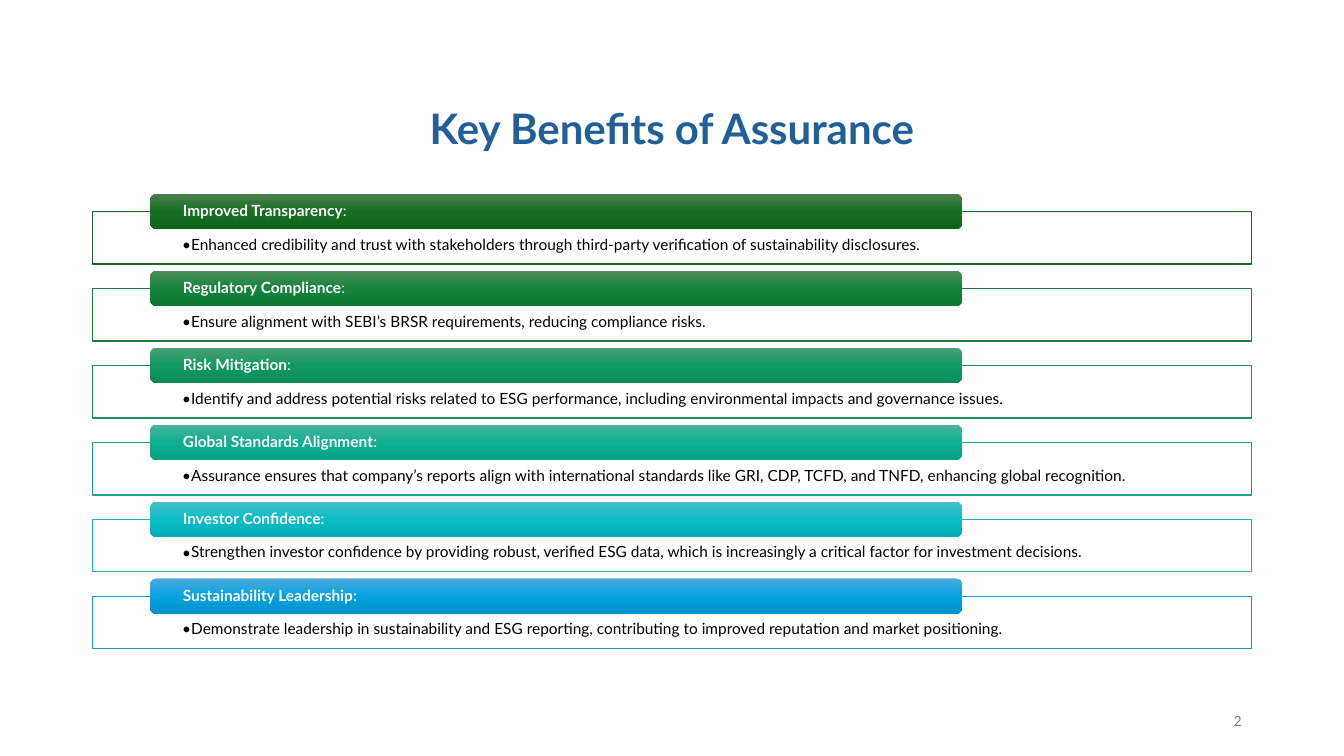
from dataclasses import dataclass

import lxml.etree
import pptx
import pptx.dml.color
import pptx.enum.shapes
import pptx.enum.text
import pptx.oxml.ns
import pptx.util

Pt = pptx.util.Pt
Shapes = pptx.enum.shapes.MSO_SHAPE
Align = pptx.enum.text.PP_ALIGN
Anchor = pptx.enum.text.MSO_ANCHOR
qn = pptx.oxml.ns.qn

FONT = "Lato"
COLORS = {"title": "215F9A", "text": "000000", "white": "FFFFFF", "number": "797979"}
FIRST_PANEL_TOP, PITCH = 151.2, 54.96
PANEL_LEFT, PANEL_WIDTH, PANEL_HEIGHT = 66, 828, 37.4
BAR_LEFT, BAR_WIDTH, BAR_HEIGHT, BAR_RISE = 107.4, 579.6, 25.2, 12.8


@dataclass
class Benefit:
    heading: str
    detail: str
    line: str
    gradient: tuple[str, str, str]


BENEFITS = [
    Benefit("Improved Transparency",
            "Enhanced credibility and trust with stakeholders through third-party "
            "verification of sustainability disclosures.",
            "196B24", ("4D7E50", "156F21", "0F661B")),
    Benefit("Regulatory Compliance",
            "Ensure alignment with SEBI’s BRSR requirements, reducing compliance risks.",
            "197E3E", ("4D8E5C", "14833C", "0D7934")),
    Benefit("Risk Mitigation",
            "Identify and address potential risks related to ESG performance, including "
            "environmental impacts and governance issues.",
            "189360", ("4DA075", "129962", "0A8D58")),
    Benefit("Global Standards Alignment",
            "Assurance ensures that company’s reports align with international standards "
            "like GRI, CDP, TCFD, and TNFD, enhancing global recognition.",
            "16A88E", ("4CB49B", "0FAF92", "06A286")),
    Benefit("Investor Confidence",
            "Strengthen investor confidence by providing robust, verified ESG data, which "
            "is increasingly a critical factor for investment decisions.",
            "13B6BE", ("4CC0C8", "0ABDC6", "02AFB8")),
    Benefit("Sustainability Leadership",
            "Demonstrate leadership in sustainability and ESG reporting, contributing to "
            "improved reputation and market positioning.",
            "0F9ED5", ("4CAADF", "05A2DF", "0092CB")),
]


def rgb(value: str) -> pptx.dml.color.RGBColor:
    return pptx.dml.color.RGBColor.from_string(value)


def write_text(box, text: str, *, size: float, color: str, bold: bool = False,
               plain_tail: str = "", align=Align.LEFT, anchor=Anchor.MIDDLE,
               insets=(7.2, 3.6, 7.2, 3.6), spacing: float = 0.9,
               bullet: bool = False) -> None:
    """Write one formatted paragraph; insets run left, top, right, bottom."""
    frame = box.text_frame
    frame.word_wrap = True
    frame.auto_size = pptx.enum.text.MSO_AUTO_SIZE.NONE
    frame.vertical_anchor = anchor
    (frame.margin_left, frame.margin_top,
     frame.margin_right, frame.margin_bottom) = map(Pt, insets)
    para = frame.paragraphs[0]
    para.alignment = align
    para.line_spacing = spacing
    if bullet:
        properties = para._p.get_or_add_pPr()
        properties.set("marL", str(Pt(4.5)))
        properties.set("indent", str(Pt(-4.5)))
        lxml.etree.SubElement(properties, qn("a:buFont")).set("typeface", FONT)
        lxml.etree.SubElement(properties, qn("a:buChar")).set("char", "•")
    para.font.size = Pt(size)
    for words, weight in ((text, bold), (plain_tail, False)):
        if words:
            span = para.add_run()
            span.text = words
            span.font.name = FONT
            span.font.size = Pt(size)
            span.font.bold = weight
            span.font.color.rgb = rgb(color)


def add_panel(page, benefit: Benefit, top: float) -> None:
    panel = page.shapes.add_shape(Shapes.RECTANGLE, Pt(PANEL_LEFT), Pt(top),
                                  Pt(PANEL_WIDTH), Pt(PANEL_HEIGHT))
    panel.shadow.inherit = False
    panel.fill.solid()
    panel.fill.fore_color.rgb = rgb(COLORS["white"])
    fill_color = panel._element.spPr.find(qn("a:solidFill")).find(qn("a:srgbClr"))
    lxml.etree.SubElement(fill_color, qn("a:alpha")).set("val", "90000")
    panel.line.color.rgb = rgb(benefit.line)
    panel.line.width = Pt(1)
    write_text(panel, benefit.detail, size=11, color=COLORS["text"], bullet=True,
               anchor=Anchor.TOP, insets=(64.2, 18, 64.2, 5))


def add_bar(page, benefit: Benefit, top: float) -> None:
    bar = page.shapes.add_shape(Shapes.ROUNDED_RECTANGLE, Pt(BAR_LEFT), Pt(top),
                                Pt(BAR_WIDTH), Pt(BAR_HEIGHT))
    bar.shadow.inherit = False
    bar.line.fill.background()
    bar.fill.gradient()
    bar.fill.gradient_angle = 270
    stops = bar._element.spPr.find(qn("a:gradFill")).find(qn("a:gsLst"))
    for stop in list(stops):
        stops.remove(stop)
    for index, color in enumerate(benefit.gradient):
        stop = lxml.etree.SubElement(stops, qn("a:gs"))
        stop.set("pos", str(index * 50000))
        lxml.etree.SubElement(stop, qn("a:srgbClr")).set("val", color)
    write_text(bar, benefit.heading, size=11, color=COLORS["white"], bold=True,
               plain_tail=":", insets=(22, 0, 22, 0))


def main() -> None:
    deck = pptx.Presentation()
    deck.slide_width, deck.slide_height = Pt(960), Pt(540)
    page = deck.slides.add_slide(deck.slide_layouts.get_by_name("Title Only"))

    # Title
    title = page.shapes.title
    title.left, title.top, title.width, title.height = map(Pt, (221.5, 57.6, 517, 72))
    write_text(title, "Key Benefits of Assurance", size=30, color=COLORS["title"],
               bold=True, align=Align.CENTER)

    # Benefit rows: outlined panel with a heading bar over its top edge
    for index, benefit in enumerate(BENEFITS):
        top = FIRST_PANEL_TOP + index * PITCH
        add_panel(page, benefit, top)
        add_bar(page, benefit, top - BAR_RISE)

    # Page number
    number = page.shapes.add_textbox(Pt(678), Pt(500.5), Pt(216), Pt(28.8))
    write_text(number, "2", size=10, color=COLORS["number"], align=Align.RIGHT, spacing=1.0)

    deck.save("out.pptx")


if __name__ == "__main__":
    main()
